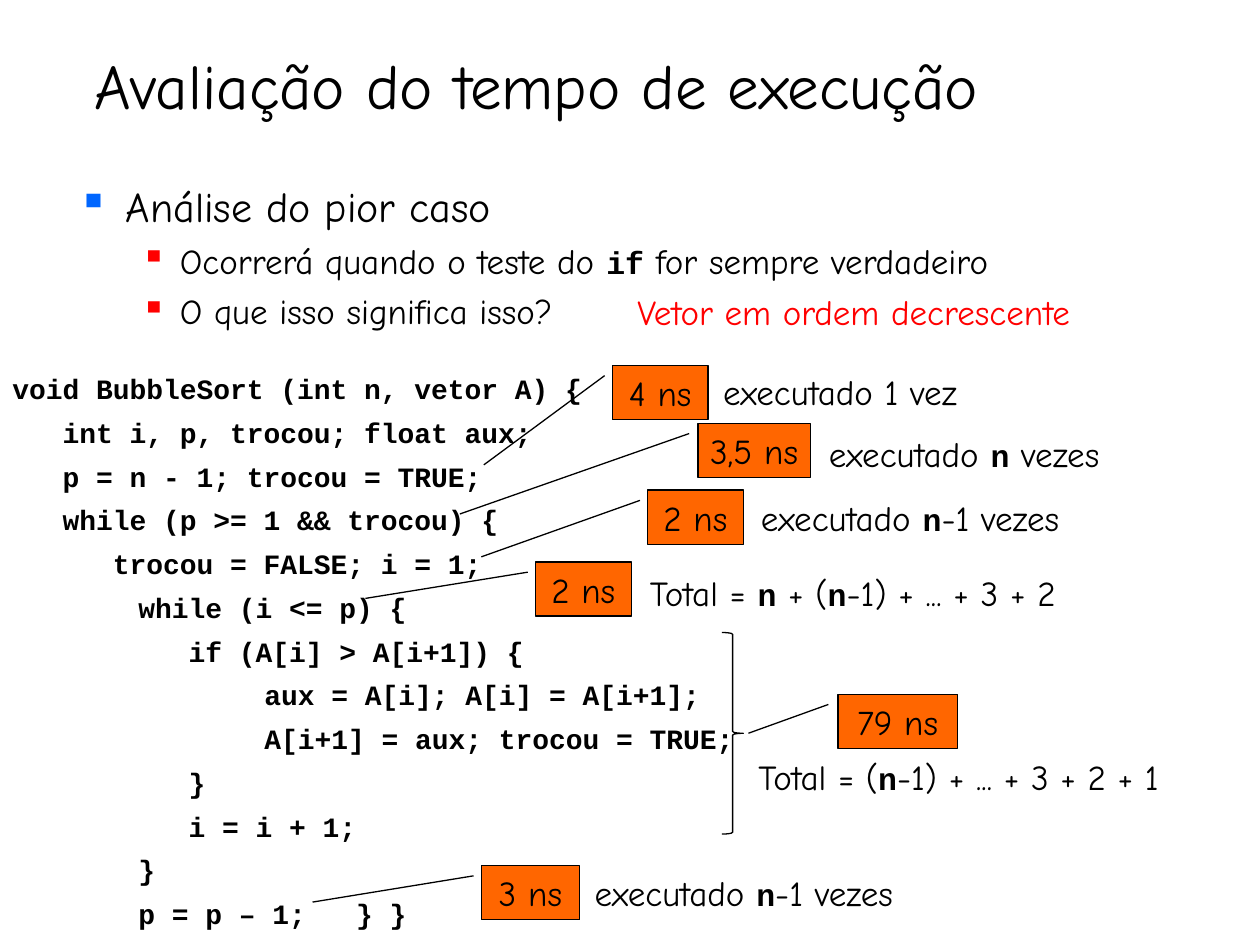
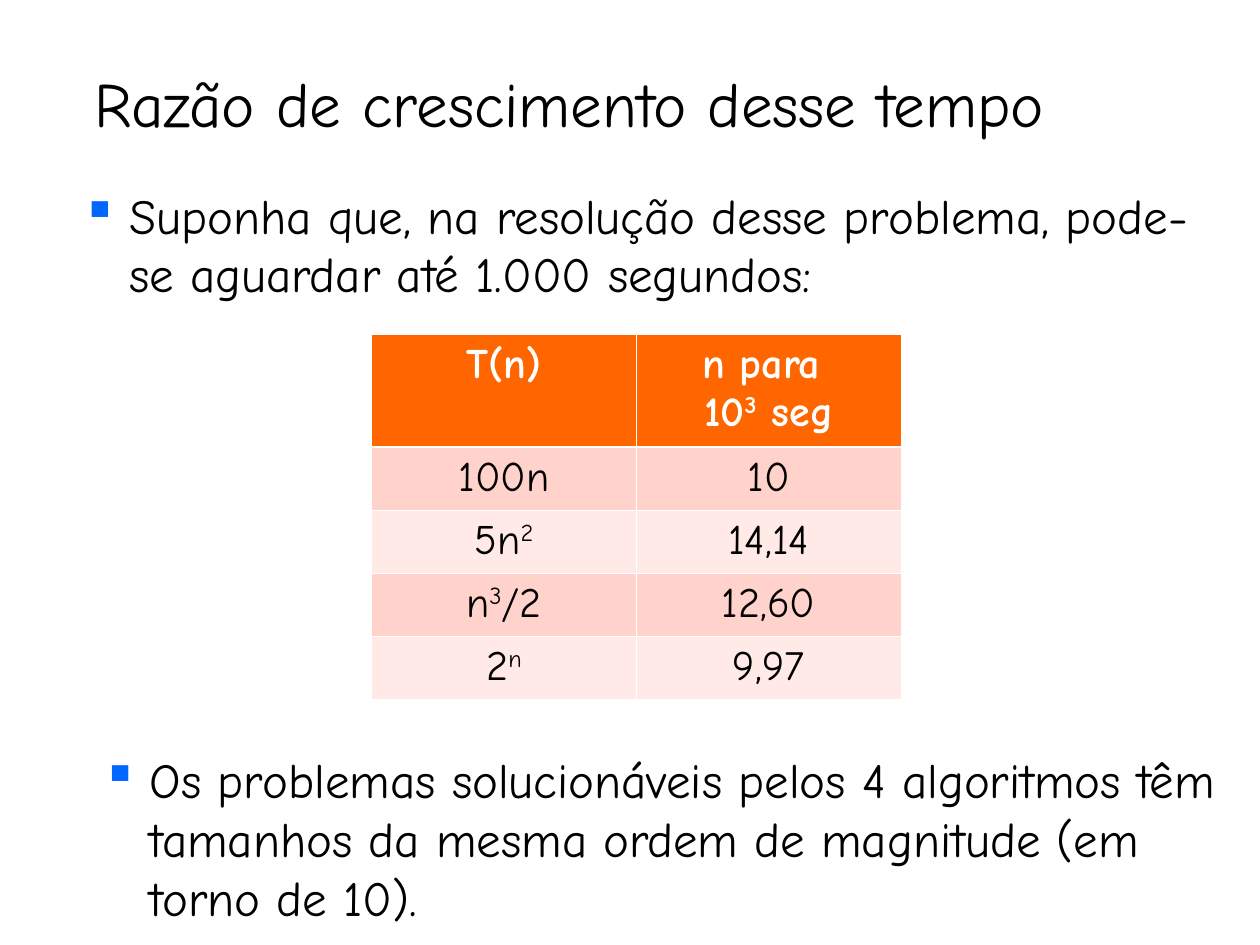
"""Build two slides on the running time of bubble sort."""
from dataclasses import dataclass

from lxml.etree import SubElement
from pptx import Presentation
from pptx.dml.color import RGBColor
from pptx.enum.shapes import MSO_SHAPE
from pptx.enum.text import MSO_ANCHOR, PP_ALIGN
from pptx.oxml.ns import qn
from pptx.util import Inches, Pt


@dataclass(frozen=True)
class Theme:
    """Hold the fonts, colours and type sizes."""
    text_font: str = "Comic Neue"
    code_font: str = "Courier New"
    black: str = "000000"
    white: str = "FFFFFF"
    orange: str = "FF6600"
    blue: str = "0066FF"
    red: str = "FF0000"
    bands: tuple = ("FFD3CB", "FFEAE7")
    title: int = 36
    lead: int = 28
    point: int = 24
    note: int = 20
    inline_code: int = 18
    code: int = 16
    line: float = 0.75
    grid: float = 0.45
    header_rule: float = 1.47


T = Theme()
INLINE_CODE = {"name": T.code_font, "size": Pt(T.inline_code), "bold": True}
BULLETS = ((0.38, 0.38, T.blue), (0.81, 0.31, T.red))

CODE = """void BubbleSort (int n, vetor A) {
   int i, p, trocou; float aux;
   p = n - 1; trocou = TRUE;
   while (p >= 1 && trocou) {
      trocou = FALSE; i = 1;
\twhile (i <= p) {
\t   if (A[i] > A[i+1]) {
\t\taux = A[i]; A[i] = A[i+1];
\t\tA[i+1] = aux; trocou = TRUE;
\t   }
\t   i = i + 1;
\t}
\tp = p – 1;   } }"""

COSTS = (
    ("4 ns", (4.86, 2.9, 0.76), (3.84, 3.69)),
    ("3,5 ns", (5.54, 3.36, 0.89), (3.65, 4.08)),
    ("2 ns", (5.14, 3.89, 0.76), (3.82, 4.42)),
    ("2 ns", (4.25, 4.46, 0.76), (2.9, 4.75)),
    ("79 ns", (6.65, 5.51, 0.95), (5.94, 5.82)),
    ("3 ns", (3.82, 6.87, 0.78), (2.48, 7.16)),
)
NOTES = (
    ("executado 1 vez", 5.64, 2.89, 2.79, T.black),
    ("executado `n` vezes", 6.48, 3.38, 2.79, T.black),
    ("executado `n`-1 vezes", 5.94, 3.89, 3.38, T.black),
    ("executado `n`-1 vezes", 4.62, 6.87, 3.38, T.black),
    ("Total = `n` + (`n`-1) + ... + 3 + 2", 5.06, 4.49, 3.84, T.black),
    ("Total = (`n`-1) + ... + 3 + 2 + 1", 5.92, 5.95, 3.84, T.black),
    ("Vetor em ordem decrescente", 4.96, 2.26, 4.17, T.red),
)
GROWTH = (
    ("T(n)", "n para \n10^3^ seg"),
    ("100n", "10"),
    ("5n^2^", "14,14"),
    ("n^3^/2", "12,60"),
    ("2^n^", "9,97"),
)


def rgb(color):
    """Return the colour of a hex string."""
    return RGBColor.from_string(color)


def add_runs(p, text, size, color=T.black, **extra):
    """Add runs, with code between backticks and superscripts between carets."""
    base = {"name": T.text_font, "size": Pt(size), "bold": False, **extra}
    for i, part in enumerate(text.split("`")):
        for j, piece in enumerate(part.split("^")):
            if not piece:
                continue
            r = p.add_run()
            r.text = piece
            for key, value in (INLINE_CODE if i % 2 else base).items():
                setattr(r.font, key, value)
            r.font.color.rgb = rgb(color)
            if j % 2:
                r._r.get_or_add_rPr().set("baseline", "30000")


def add_paragraphs(tf, lines):
    """Yield a paragraph of the frame with each line."""
    for i, line in enumerate(lines):
        yield (tf.add_paragraph() if i else tf.paragraphs[0]), line


def add_text_box(s, x, y, w, h, anchor=MSO_ANCHOR.TOP):
    """Add a wrapping text box and return its frame."""
    tf = s.shapes.add_textbox(*map(Inches, (x, y, w, h))).text_frame
    tf.word_wrap = True
    tf.vertical_anchor = anchor
    return tf


def add_title(s, text, y):
    """Add the slide title."""
    tf = add_text_box(s, 0.65, y, 9.11, 0.7, MSO_ANCHOR.BOTTOM)
    add_runs(tf.paragraphs[0], text, T.title)


def add_bullets(s, x, y, h, items):
    """Add bulleted paragraphs given as level, size and text."""
    tf = add_text_box(s, x, y, 9.23, h)
    for p, (level, size, text) in add_paragraphs(tf, items):
        indent, hanging, color = BULLETS[level]
        p.level = level
        pPr = p._p.get_or_add_pPr()
        pPr.set("marL", str(Inches(indent)))
        pPr.set("indent", str(-Inches(hanging)))
        SubElement(SubElement(pPr, qn("a:buClr")), qn("a:srgbClr"), val=color)
        SubElement(pPr, qn("a:buChar"), char="▪")
        if p is not tf.paragraphs[0] and level:
            p.space_before = Pt(5)
        add_runs(p, text, size)


def add_code(s, code):
    """Add the code listing with a tab stop at each inch."""
    tf = add_text_box(s, 0, 2.82, 6.46, 4.62)
    for p, line in add_paragraphs(tf, code.split("\n")):
        tabs = SubElement(p._p.get_or_add_pPr(), qn("a:tabLst"))
        for stop in (1, 2):
            SubElement(tabs, qn("a:tab"), pos=str(Inches(stop)), algn="l")
        p.line_spacing = Pt(25)
        add_runs(p, line, T.code, name=T.code_font, bold=True)


def add_outlined(s, kind, x, y, w, h):
    """Add a preset shape with the common outline."""
    sp = s.shapes.add_shape(kind, *map(Inches, (x, y, w, h)))
    sp.shadow.inherit = False
    sp.line.color.rgb = rgb(T.black)
    sp.line.width = Pt(T.line)
    return sp


def add_cost(s, text, box, target):
    """Add a cost callout whose line leads to the target point."""
    (x, y, w), h = box, 0.43
    sp = add_outlined(s, MSO_SHAPE.LINE_CALLOUT_1, x, y, w, h)
    sp.fill.solid()
    sp.fill.fore_color.rgb = rgb(T.orange)
    ends = (0.19, -0.08, (target[1] - y) / h, (target[0] - x) / w)
    for i, value in enumerate(ends):
        sp.adjustments[i] = value
    tf = sp.text_frame
    tf.word_wrap = False
    tf.vertical_anchor = MSO_ANCHOR.TOP
    p = tf.paragraphs[0]
    p.alignment = PP_ALIGN.CENTER
    add_runs(p, text, T.note)


def add_brace(s):
    """Add the brace that groups the inner loop body."""
    sp = add_outlined(s, MSO_SHAPE.RIGHT_BRACE, 5.73, 5.02, 0.17, 1.6)
    sp.fill.background()


def set_borders(cell, widths):
    """Draw white borders of the given widths on a cell."""
    tcPr = cell._tc.get_or_add_tcPr()
    for side, width in widths.items():
        ln = SubElement(tcPr, qn(f"a:ln{side}"), w=str(Pt(width)))
        SubElement(SubElement(ln, qn("a:solidFill")), qn("a:srgbClr"), val=T.white)


def add_growth_table(s, rows):
    """Add the table of growth rates."""
    frame = s.shapes.add_table(len(rows), 2, *map(Inches, (2.95, 2.65, 4.2, 2.9)))
    table = frame.table
    for i, texts in enumerate(rows):
        head = i == 0
        table.rows[i].height = Inches(0.9 if head else 0.5)
        widths = dict.fromkeys("LRTB", T.grid)
        if i < 2:
            widths["B" if head else "T"] = T.header_rule
        for cell, text in zip(table.rows[i].cells, texts):
            set_borders(cell, widths)
            cell.fill.solid()
            cell.fill.fore_color.rgb = rgb(T.orange if head else T.bands[(i - 1) % 2])
            for p, line in add_paragraphs(cell.text_frame, text.split("\n")):
                p.alignment = PP_ALIGN.CENTER
                add_runs(p, line, T.point, T.white if head else T.black, bold=head)


def build_execution_slide(s):
    """Build the worst case analysis slide."""
    add_code(s, CODE)
    for cost in COSTS:
        add_cost(s, *cost)
    add_brace(s)
    for text, x, y, w, color in NOTES:
        add_runs(add_text_box(s, x, y, w, 0.44).paragraphs[0], text, T.note, color)
    add_title(s, "Avaliação do tempo de execução", 0.32)
    add_bullets(s, 0.52, 1.38, 1.48, (
        (0, T.point, "Análise do pior caso"),
        (1, T.note, "Ocorrerá quando o teste do `if` for sempre verdadeiro"),
        (1, T.note, "O que isso significa isso?"),
    ))


def build_growth_slide(s):
    """Build the growth rate slide."""
    add_title(s, "Razão de crescimento desse tempo", 0.46)
    add_bullets(s, 0.55, 1.42, 1.18, ((0, T.lead, (
        "Suponha que, na resolução desse problema, "
        "pode-se aguardar até 1.000 segundos:")),))
    add_growth_table(s, GROWTH)
    add_bullets(s, 0.71, 5.9, 1.4, ((0, T.lead, (
        "Os problemas solucionáveis pelos 4 algoritmos têm tamanhos "
        "da mesma ordem de magnitude (em torno de 10).")),))


def main():
    """Build and save the presentation."""
    prs = Presentation()
    prs.slide_width, prs.slide_height = Inches(10), Inches(7.5)
    for build in (build_execution_slide, build_growth_slide):
        build(prs.slides.add_slide(prs.slide_layouts[6]))
    prs.save("out.pptx")


if __name__ == "__main__":
    main()
